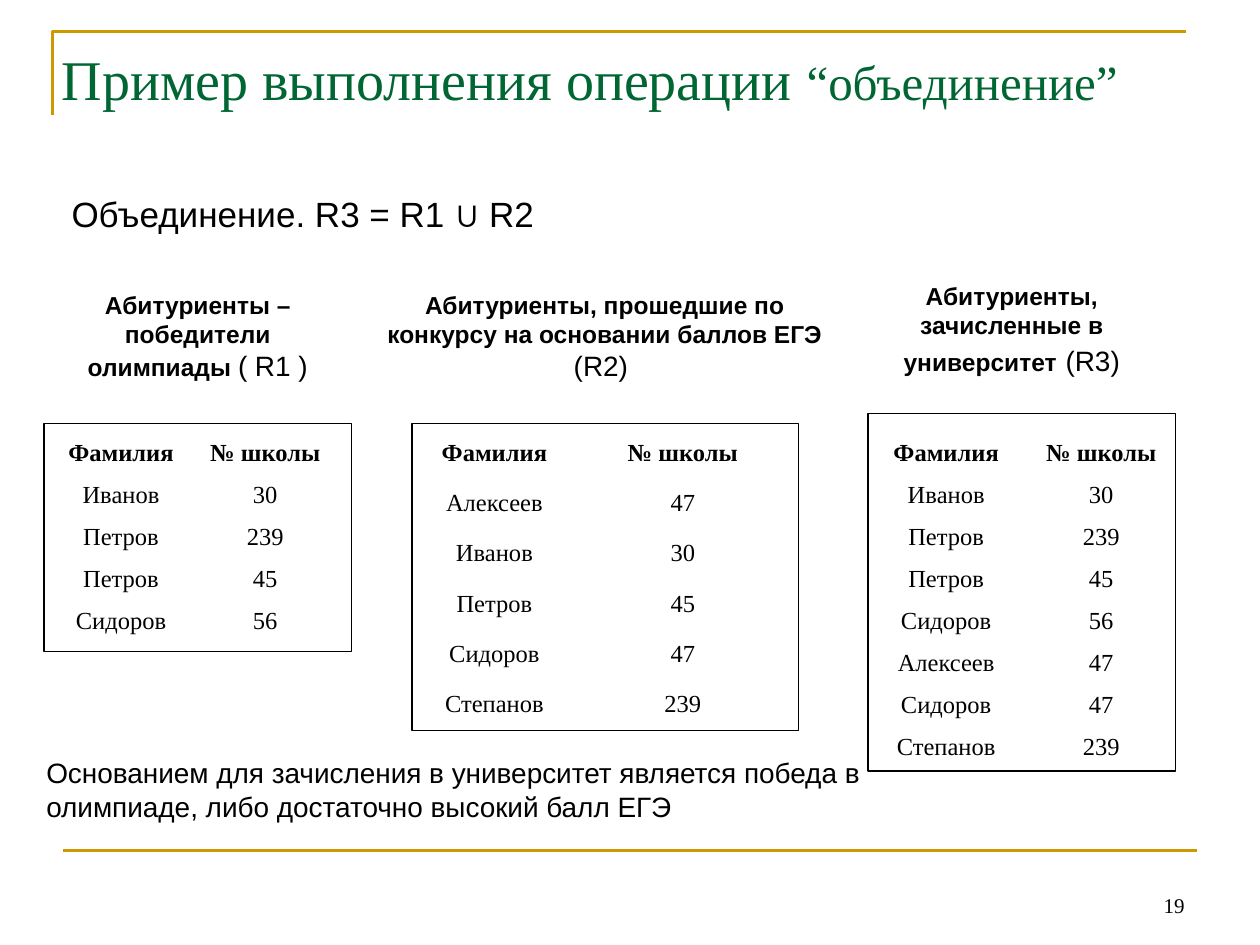
"""Build a slide that shows the union of two relations with three tables."""
from lxml import etree
from pptx import Presentation
from pptx.dml.color import RGBColor
from pptx.enum import shapes, text
from pptx.oxml.ns import qn
from pptx.util import Pt

SERIF, SANS = "Times New Roman", "Arial"
BLACK, GREEN, GOLD = "000000", "006633", "CC9900"
LEFT, CENTER, RIGHT = text.PP_ALIGN.LEFT, text.PP_ALIGN.CENTER, text.PP_ALIGN.RIGHT
TOP, BOTTOM = text.MSO_ANCHOR.TOP, text.MSO_ANCHOR.BOTTOM


def color(value):
    return RGBColor.from_string(value)


def write(frame, *runs, font=SANS, fill=BLACK, align=LEFT, anchor=TOP):
    frame.word_wrap = True
    frame.auto_size = text.MSO_AUTO_SIZE.NONE
    frame.vertical_anchor = anchor
    paragraph = frame.paragraphs[0]
    paragraph.alignment = align
    for content, size, bold in runs:
        run = paragraph.add_run()
        run.text = content
        run.font.name = font
        run.font.size = Pt(size)
        run.font.bold = bold
        run.font.color.rgb = color(fill)


presentation = Presentation()
presentation.slide_width, presentation.slide_height = Pt(720), Pt(540)
slide = presentation.slides.add_slide(presentation.slide_layouts[5])

builder = slide.shapes.build_freeform(Pt(30), Pt(66))
builder.add_line_segments([(Pt(30), Pt(18)), (Pt(678), Pt(18))], close=False)
corner = builder.convert_to_shape()
corner.shadow.inherit = False
corner.fill.background()
rule = slide.shapes.add_connector(
    shapes.MSO_CONNECTOR.STRAIGHT, Pt(36), Pt(486), Pt(684), Pt(486))
etree.SubElement(rule._element.spPr, qn("a:effectLst"))
for shape in (corner, rule):
    shape.line.color.rgb = color(GOLD)
    shape.line.width = Pt(1.5)

title = slide.shapes.title
title.left, title.top, title.width, title.height = Pt(28), Pt(21.6), Pt(680.4), Pt(79)
write(title.text_frame, ("Пример выполнения операции ", 32, False),
      ("“объединение”", 28, False), font=SERIF, fill=GREEN)

captions = [
    (33.8, 106.5, 641, 40, LEFT, [("Объединение. R3 = R1 ∪ R2", 20, False)]),
    (36.7, 162, 152.6, 60.5, CENTER,
     [("Абитуриенты – победители олимпиады ", 14, True), ("( R1 )", 16, False)]),
    (212.4, 162, 266.4, 60.5, CENTER,
     [("Абитуриенты, прошедшие по конкурсу на основании баллов ЕГЭ ", 14, True),
      ("(R2) ", 16, False)]),
    (490.3, 157, 175.7, 62.6, CENTER,
     [("Абитуриенты, зачисленные в университет", 14, True),
      (" ", 18, False), ("(R3)", 16, False)]),
    (19.4, 428.4, 481.7, 46, LEFT,
     [("Основанием для зачисления в университет является победа в олимпиаде, "
       "либо достаточно высокий балл ЕГЭ", 16, False)]),
]
for left, top, width, height, align, runs in captions:
    box = slide.shapes.add_textbox(Pt(left), Pt(top), Pt(width), Pt(height))
    write(box.text_frame, *runs, align=align)

header = [("Фамилия", "№ школы")]
olympiad = [("Иванов", "30"), ("Петров", "239"), ("Петров", "45"), ("Сидоров", "56")]
exam = [("Алексеев", "47"), ("Иванов", "30"), ("Петров", "45"),
        ("Сидоров", "47"), ("Степанов", "239")]
admitted = olympiad + [entry for entry in exam if entry not in olympiad]
relations = [
    (olympiad, 31, (76.3, 88.6), 24, (25.2, 242, 175.7, 130.3)),
    (exam, 235.4, (94.3, 121), 28.7, (235.4, 242, 221, 175.7)),
    (admitted, 501.8, (77.8, 99.4), 24, (496, 236.2, 175.7, 204.5)),
]
for entries, left, widths, row_height, frame_box in relations:
    rows = header + entries
    table = slide.shapes.add_table(
        len(rows), 2, Pt(left), Pt(247.7), Pt(sum(widths)), Pt(row_height * len(rows))).table
    table.first_row = table.horz_banding = False
    for column, width in zip(table.columns, widths):
        column.width = Pt(width)
    for row_index, entry in enumerate(rows):
        table.rows[row_index].height = Pt(row_height)
        for column_index, value in enumerate(entry):
            cell = table.cell(row_index, column_index)
            cell.fill.background()
            write(cell.text_frame, (value, 14, row_index == 0), font=SERIF, align=CENTER)

    outline = slide.shapes.add_shape(
        shapes.MSO_SHAPE.RECTANGLE, *[Pt(length) for length in frame_box])
    outline.shadow.inherit = False
    outline.fill.background()
    outline.line.color.rgb = color(BLACK)
    outline.line.width = Pt(0.75)

page_number = slide.shapes.add_textbox(Pt(516), Pt(492), Pt(168), Pt(36))
write(page_number.text_frame, ("19", 12, False), font=SERIF, align=RIGHT, anchor=BOTTOM)

presentation.save("out.pptx")
